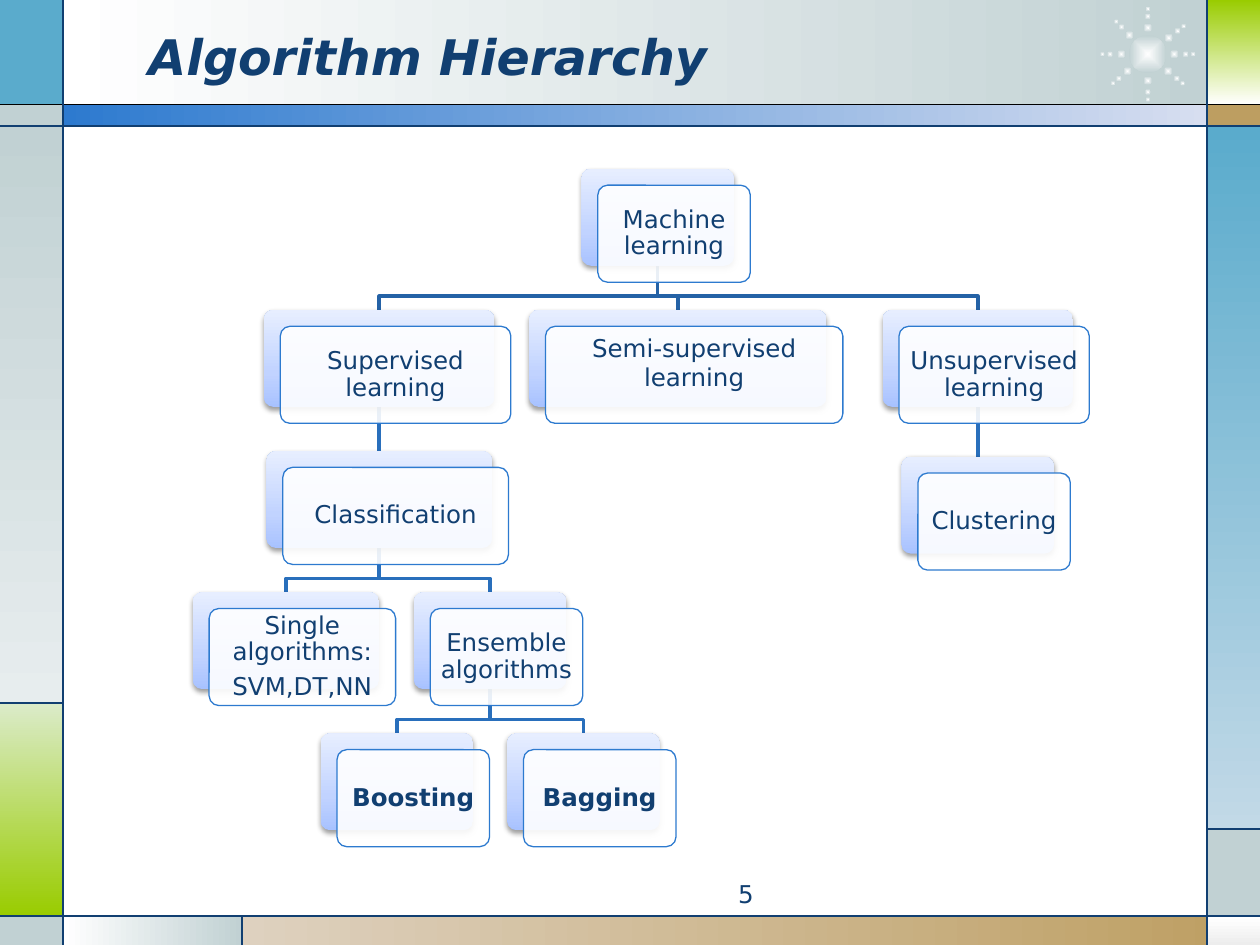
import math
from dataclasses import dataclass
from typing import Optional

import lxml.etree
import pptx
import pptx.dml.color
import pptx.enum.shapes
import pptx.enum.text
import pptx.oxml.ns
import pptx.util

IN = pptx.util.Inches
SHAPE = pptx.enum.shapes.MSO_SHAPE
ALIGN = pptx.enum.text.PP_ALIGN
ANCHOR = pptx.enum.text.MSO_ANCHOR


@dataclass(frozen=True)
class Theme:
    font: str = "DejaVu Sans"
    title_size: int = 28
    body_size: int = 14
    navy: str = "113F71"
    black: str = "000000"
    white: str = "FFFFFF"
    gray: str = "C1D1D3"
    teal: str = "5AABCC"
    lime: str = "99CC00"
    tan: str = "BD9E61"
    blue: str = "2D7ACF"
    link_root: str = "2462A6"
    link: str = "296FBC"
    card: tuple = ((0, "A8C2FF"), (35, "C1D3FF"), (100, "E7EEFF"))


THEME = Theme()

# Frame grid: column and row edges
WIDTH, HEIGHT = 10, 7.5
LEFT, FOOT_SPLIT, RIGHT = 0.5, 1.92, 9.58
HEAD, BAR, LEFT_SPLIT, RIGHT_SPLIT, FOOT = 0.83, 1, 5.58, 6.58, 7.27

# Tree grid
TREE_TOP, LEVEL_STEP = 1.34, 1.12
CARD_HEIGHT, CARD_OFFSET, ELBOW_RISE = 0.77, 0.13, 0.11


@dataclass
class Node:
    text: str
    center: float
    level: float
    width: float = 1.21
    parent: Optional["Node"] = None
    bold: bool = False
    lift: float = 0  # extra space under the text

    @property
    def top(self):
        return TREE_TOP + LEVEL_STEP * self.level


def hierarchy():
    root = Node("Machine learning", 5.22, 0)
    supervised = Node("Supervised learning", 3.01, 1, 1.83, root)
    semi = Node("Semi-supervised learning", 5.38, 1, 2.36, root, lift=0.2)
    unsupervised = Node("Unsupervised learning", 7.76, 1, 1.51, root)
    clustering = Node("Clustering", 7.76, 2.04, parent=unsupervised)
    classification = Node("Classification", 3.01, 2, 1.79, supervised)
    single = Node("Single algorithms:\nSVM,DT,NN", 2.27, 3, 1.48, classification)
    ensemble = Node("Ensemble algorithms", 3.89, 3, parent=classification)
    boosting = Node("Boosting", 3.15, 4, parent=ensemble, bold=True)
    bagging = Node("Bagging", 4.63, 4, parent=ensemble, bold=True)
    return [root, supervised, classification, single, ensemble,
            boosting, bagging, semi, unsupervised, clustering]


def rgb(color):
    return pptx.dml.color.RGBColor.from_string(color)


def add_child(parent, tag, **attributes):
    child = lxml.etree.SubElement(parent, pptx.oxml.ns.qn(tag))
    for key, value in attributes.items():
        child.set(key, str(value))
    return child


def fill_gradient(shape, stops, angle=None):
    """Linear at the given clockwise angle; from the centre out when None."""
    shape.fill.gradient()
    gradient = shape._element.spPr.find(pptx.oxml.ns.qn("a:gradFill"))
    for child in list(gradient):
        gradient.remove(child)
    stop_list = add_child(gradient, "a:gsLst")
    for position, color in stops:
        stop = add_child(stop_list, "a:gs", pos=position * 1000)
        add_child(stop, "a:srgbClr", val=color)
    if angle is None:
        route = add_child(gradient, "a:path", path="shape")
        add_child(route, "a:fillToRect", l=50000, t=50000, r=50000, b=50000)
    else:
        add_child(gradient, "a:lin", ang=angle * 60000, scaled=0)


def add_panel(slide, kind, left, top, width, height):
    panel = slide.shapes.add_shape(kind, IN(left), IN(top), IN(width), IN(height))
    panel.shadow.inherit = False
    panel.line.fill.background()
    return panel


def add_tile(slide, left, top, right, bottom, start, end=None, angle=90):
    tile = add_panel(slide, SHAPE.RECTANGLE, left, top, right - left, bottom - top)
    if end:
        fill_gradient(tile, [(0, start), (100, end)], angle)
    else:
        tile.fill.solid()
        tile.fill.fore_color.rgb = rgb(start)


def add_line(slide, x1, y1, x2, y2, color=THEME.navy, weight=0.75):
    line = slide.shapes.add_connector(
        pptx.enum.shapes.MSO_CONNECTOR.STRAIGHT, IN(x1), IN(y1), IN(x2), IN(y2))
    line.line.color.rgb = rgb(color)
    line.line.width = pptx.util.Pt(weight)
    add_child(line._element.spPr, "a:effectLst")


def set_text(shape, text, align, size=THEME.body_size, bold=False, italic=False):
    frame = shape.text_frame
    frame.word_wrap = True
    frame.text = text
    for paragraph in frame.paragraphs:
        paragraph.alignment = align
        for run in paragraph.runs:
            run.font.name = THEME.font
            run.font.size = pptx.util.Pt(size)
            run.font.bold = bold
            run.font.italic = italic
            run.font.color.rgb = rgb(THEME.navy)
    return frame


def add_label(slide, left, top, width, height, text, align, **style):
    box = slide.shapes.add_textbox(IN(left), IN(top), IN(width), IN(height))
    return set_text(box, text, align, **style)


def add_frame(slide):
    t = THEME
    # Header and left column
    add_tile(slide, LEFT, 0, RIGHT, HEAD, t.white, t.gray, 0)
    add_tile(slide, 0, 0, LEFT, HEAD, t.teal)
    add_tile(slide, 0, HEAD, LEFT, BAR, t.gray)
    add_tile(slide, 0, BAR, LEFT, LEFT_SPLIT, t.gray, "E7EDEE")
    add_tile(slide, 0, LEFT_SPLIT, LEFT, FOOT, "DBEBC9", t.lime)
    # Footer
    add_tile(slide, 0, FOOT, LEFT, HEIGHT, t.gray)
    add_tile(slide, LEFT, FOOT, FOOT_SPLIT, HEIGHT, t.white, t.gray, 0)
    add_tile(slide, FOOT_SPLIT, FOOT, WIDTH, HEIGHT, "DED1BF", t.tan, 0)
    add_tile(slide, RIGHT, FOOT, WIDTH, HEIGHT, t.white, "EDEDED")
    # Right column and blue bar
    add_tile(slide, RIGHT, RIGHT_SPLIT, WIDTH, FOOT, t.gray)
    add_tile(slide, RIGHT, BAR, WIDTH, RIGHT_SPLIT, t.teal, "C2D9E7")
    add_tile(slide, RIGHT, HEAD, WIDTH, BAR, t.tan)
    add_tile(slide, RIGHT, 0, WIDTH, HEAD, t.lime, t.white)
    add_tile(slide, LEFT, HEAD, RIGHT, BAR, t.blue, "D7DEF0", 0)


def add_starburst(slide, x=9.11, y=0.43):
    dots = [(0, 0, 0.3)]
    for angle in (0, 40, 90, 140, 180, 226, 270, 322):
        dots += [(angle, radius, size)
                 for radius, size in ((0.36, 0.04), (0.3, 0.05), (0.21, 0.07))]
    for angle, radius, size in dots:
        left = x + radius * math.cos(math.radians(angle)) - size / 2
        top = y + radius * math.sin(math.radians(angle)) - size / 2
        dot = add_panel(slide, SHAPE.OVAL, left, top, size, size)
        fill_gradient(dot, [(0, THEME.white), (100, THEME.gray)])


def add_rules(slide):
    add_line(slide, 0, HEAD, WIDTH, HEAD, THEME.black)
    for y in (BAR, FOOT):
        add_line(slide, 0, y, WIDTH, y)
    for x in (LEFT, RIGHT):
        add_line(slide, x, 0, x, HEIGHT)
    add_line(slide, LEFT, LEFT_SPLIT, 0, LEFT_SPLIT)
    add_line(slide, FOOT_SPLIT, FOOT, FOOT_SPLIT, HEIGHT)
    add_line(slide, RIGHT, RIGHT_SPLIT, WIDTH, RIGHT_SPLIT)


def add_branch(slide, node):
    parent = node.parent
    color = THEME.link if parent.parent else THEME.link_root
    start = parent.top + CARD_HEIGHT
    if parent.center == node.center:
        add_line(slide, node.center, start, node.center, node.top, color, 2)
        return
    bend = node.top - ELBOW_RISE
    builder = slide.shapes.build_freeform(IN(parent.center), IN(start))
    builder.add_line_segments(
        [(IN(parent.center), IN(bend)), (IN(node.center), IN(bend)),
         (IN(node.center), IN(node.top))], close=False)
    elbow = builder.convert_to_shape()
    elbow.shadow.inherit = False
    elbow.fill.background()
    elbow.line.color.rgb = rgb(color)
    elbow.line.width = pptx.util.Pt(2)


def add_node(slide, node):
    left = node.center - node.width / 2
    back, front = [
        add_panel(slide, SHAPE.ROUNDED_RECTANGLE, left + shift, node.top + shift,
                  node.width, CARD_HEIGHT) for shift in (0, CARD_OFFSET)]
    for card in (back, front):
        card.adjustments[0] = 0.1
    # Shaded card behind
    fill_gradient(back, THEME.card, 270)
    effects = back._element.spPr.find(pptx.oxml.ns.qn("a:effectLst"))
    shadow = add_child(effects, "a:outerShdw", blurRad=39000, dist=20000,
                       dir=5400000, rotWithShape=0)
    add_child(add_child(shadow, "a:srgbClr", val=THEME.black), "a:alpha", val=38000)
    # Translucent card with the text
    front.fill.solid()
    front.fill.fore_color.rgb = rgb(THEME.white)
    tint = front._element.spPr.find(".//" + pptx.oxml.ns.qn("a:srgbClr"))
    add_child(tint, "a:alpha", val=90000)
    front.line.color.rgb = rgb(THEME.blue)
    front.line.width = pptx.util.Pt(0.75)
    frame = set_text(front, node.text, ALIGN.CENTER, bold=node.bold)
    frame.vertical_anchor = ANCHOR.MIDDLE
    frame.margin_left = frame.margin_right = IN(0.06)
    frame.margin_top = IN(0 if node.lift else 0.06)
    frame.margin_bottom = IN(node.lift or 0.06)
    for paragraph in frame.paragraphs:
        paragraph.line_spacing = 1.0 if node.lift else 0.9
        paragraph.space_after = pptx.util.Pt(5)


def main():
    deck = pptx.Presentation()
    deck.slide_width, deck.slide_height = IN(WIDTH), IN(HEIGHT)
    slide = deck.slides.add_slide(deck.slide_layouts[6])
    add_frame(slide)
    add_starburst(slide)
    add_rules(slide)
    title = add_label(slide, 1.08, 0.13, 7.33, 0.62, "Algorithm Hierarchy", ALIGN.LEFT,
                      size=THEME.title_size, bold=True, italic=True)
    title.vertical_anchor = ANCHOR.MIDDLE
    # Tree: branches lie behind the cards
    nodes = hierarchy()
    for node in nodes:
        if node.parent:
            add_branch(slide, node)
    for node in nodes:
        add_node(slide, node)
    add_label(slide, 3.75, 6.93, 2.33, 0.27, "5", ALIGN.RIGHT)
    deck.save("out.pptx")


if __name__ == "__main__":
    main()
